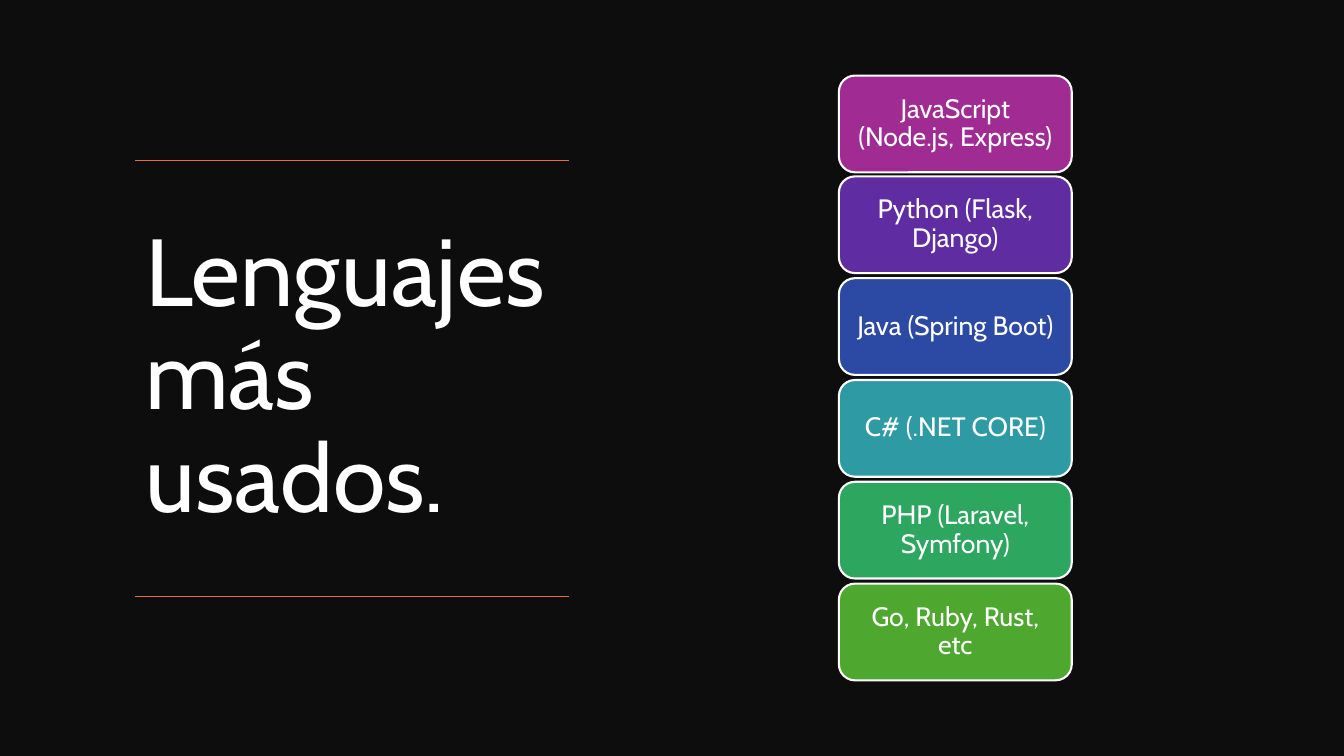
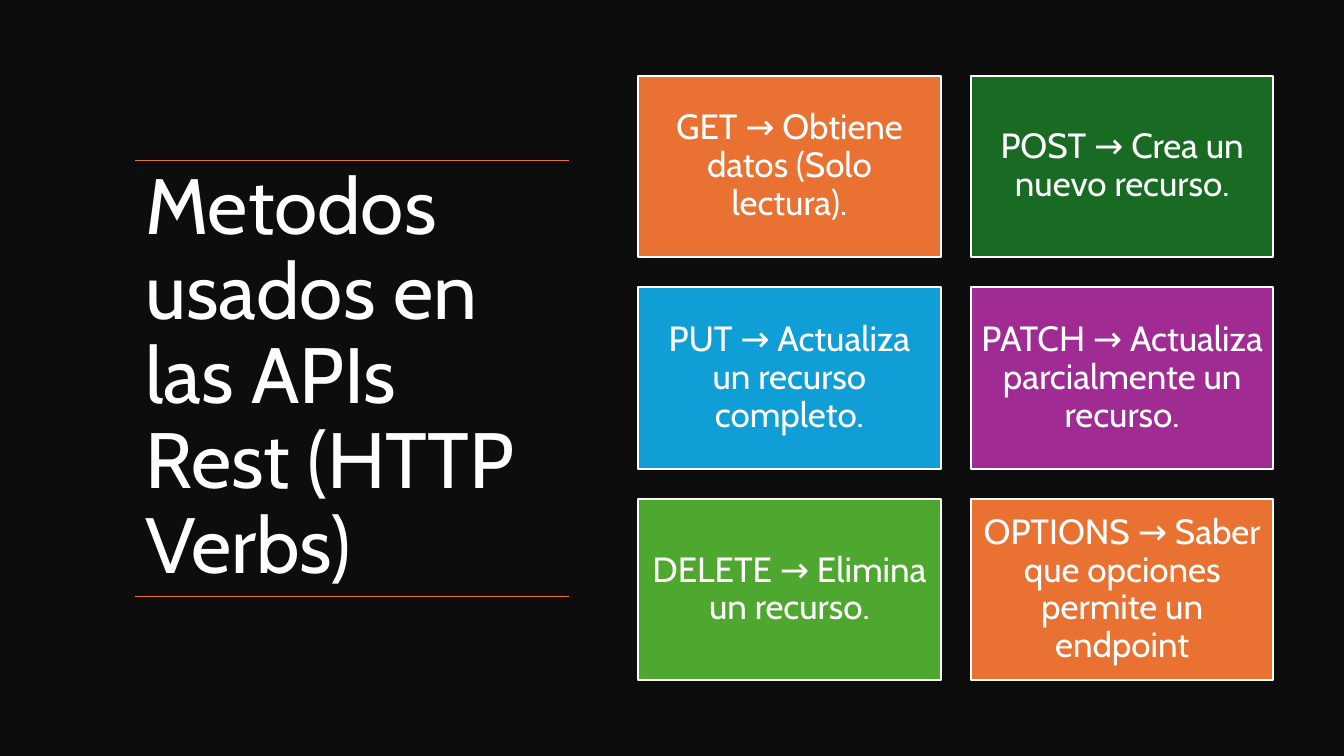
from lxml import etree
from pptx import Presentation
from pptx.dml.color import RGBColor
from pptx.enum.shapes import MSO_CONNECTOR, MSO_SHAPE
from pptx.enum.text import MSO_ANCHOR, MSO_AUTO_SIZE, PP_ALIGN
from pptx.oxml.ns import qn
from pptx.util import Emu, Pt

RECT = MSO_SHAPE.RECTANGLE
ROUND = MSO_SHAPE.ROUNDED_RECTANGLE
LINE = MSO_CONNECTOR.STRAIGHT
MIDDLE = MSO_ANCHOR.MIDDLE
FIXED = MSO_AUTO_SIZE.NONE
LEFT = PP_ALIGN.LEFT
CENTER = PP_ALIGN.CENTER

SCALE = 9144
FONT = "Cabin"
TITLE_ONLY = 5
TOP, SPAN = 75, 600
TITLE = (134, 159, 430, 433)

COLORS = {
    "black": "0D0D0D",
    "white": "FFFFFF",
    "orange": "E97132",
    "plum": "A02B93",
    "violet": "5F2CA1",
    "navy": "2C49A3",
    "teal": "2D9AA4",
    "mint": "2DA65F",
    "lime": "4EA72E",
    "forest": "196B24",
    "sky": "0F9ED5",
}

STACK = {
    "kind": ROUND, "left": 832, "wide": 231, "high": 96,
    "cols": 1, "gap": 0, "size": 19, "inset": (8, 4),
}
GRID = {
    "kind": RECT, "left": 633, "wide": 300, "high": 180,
    "cols": 2, "gap": 30, "size": 25, "inset": (10, 10),
}

TONGUES = [
    ("JavaScript (Node.js, Express)", "plum"),
    ("Python (Flask, Django)", "violet"),
    ("Java (Spring Boot)", "navy"),
    ("C# (.NET CORE)", "teal"),
    ("PHP (Laravel, Symfony)", "mint"),
    ("Go, Ruby, Rust, etc", "lime"),
]
VERBS = [
    ("GET → Obtiene datos (Solo lectura).", "orange"),
    ("POST → Crea un nuevo recurso.", "forest"),
    ("PUT → Actualiza un recurso completo.", "sky"),
    ("PATCH → Actualiza parcialmente un recurso.", "plum"),
    ("DELETE → Elimina un recurso.", "lime"),
    ("OPTIONS → Saber que opciones permite un endpoint", "orange"),
]


def px(count):
    return Emu(count * SCALE)


def color(name):
    return RGBColor.from_string(COLORS[name])


def assign(thing, values):
    for name, value in values.items():
        setattr(thing, name, value)


def paint(fill, name):
    fill.solid()
    fill.fore_color.rgb = color(name)


def write(shape, text, size, align, inset):
    across, down = map(px, inset)
    frame = shape.text_frame
    frame.text = text
    assign(frame, {
        "word_wrap": True, "auto_size": FIXED, "vertical_anchor": MIDDLE,
        "margin_left": across, "margin_right": across,
        "margin_top": down, "margin_bottom": down,
    })
    para = frame.paragraphs[0]
    assign(para, {"alignment": align, "line_spacing": 0.9})
    font = para.runs[0].font
    assign(font, {"name": FONT, "size": Pt(size)})
    font.color.rgb = color("white")


def add_rule(slide, top):
    left, _, wide, _ = TITLE
    rule = slide.shapes.add_connector(
        LINE, px(left + wide), px(top), px(left), px(top))
    rule.line.width = Pt(1)
    rule.line.color.rgb = color("orange")
    etree.SubElement(rule._element.spPr, qn("a:effectLst"))


def add_page(deck, text, size):
    slide = deck.slides.add_slide(deck.slide_layouts[TITLE_ONLY])
    title = slide.shapes.title
    assign(title, dict(zip(("left", "top", "width", "height"), map(px, TITLE))))
    write(title, text, size, LEFT, (10, 5))
    _, top, _, high = TITLE
    for edge in (top, top + high):
        add_rule(slide, edge)
    return slide


def add_card(slide, form, left, top, text, tint):
    card = slide.shapes.add_shape(
        form["kind"], px(left), px(top), px(form["wide"]), px(form["high"]))
    card.shadow.inherit = False
    paint(card.fill, tint)
    card.line.width = Pt(1.5)
    card.line.color.rgb = color("white")
    write(card, text, form["size"], CENTER, form["inset"])


def add_cards(slide, form, items):
    last = len(items) // form["cols"] - 1
    for index, (text, tint) in enumerate(items):
        row, col = divmod(index, form["cols"])
        left = form["left"] + col * (form["wide"] + form["gap"])
        top = TOP + row * (SPAN - form["high"]) // last
        add_card(slide, form, left, top, text, tint)


def main():
    deck = Presentation()
    assign(deck, {"slide_width": px(1333), "slide_height": px(750)})
    paint(deck.slide_master.background.fill, "black")
    add_cards(add_page(deck, "Lenguajes más usados.", 68), STACK, TONGUES)
    add_cards(
        add_page(deck, "Metodos usados en las APIs Rest (HTTP Verbs)", 56),
        GRID, VERBS)
    deck.save("out.pptx")


if __name__ == "__main__":
    main()
